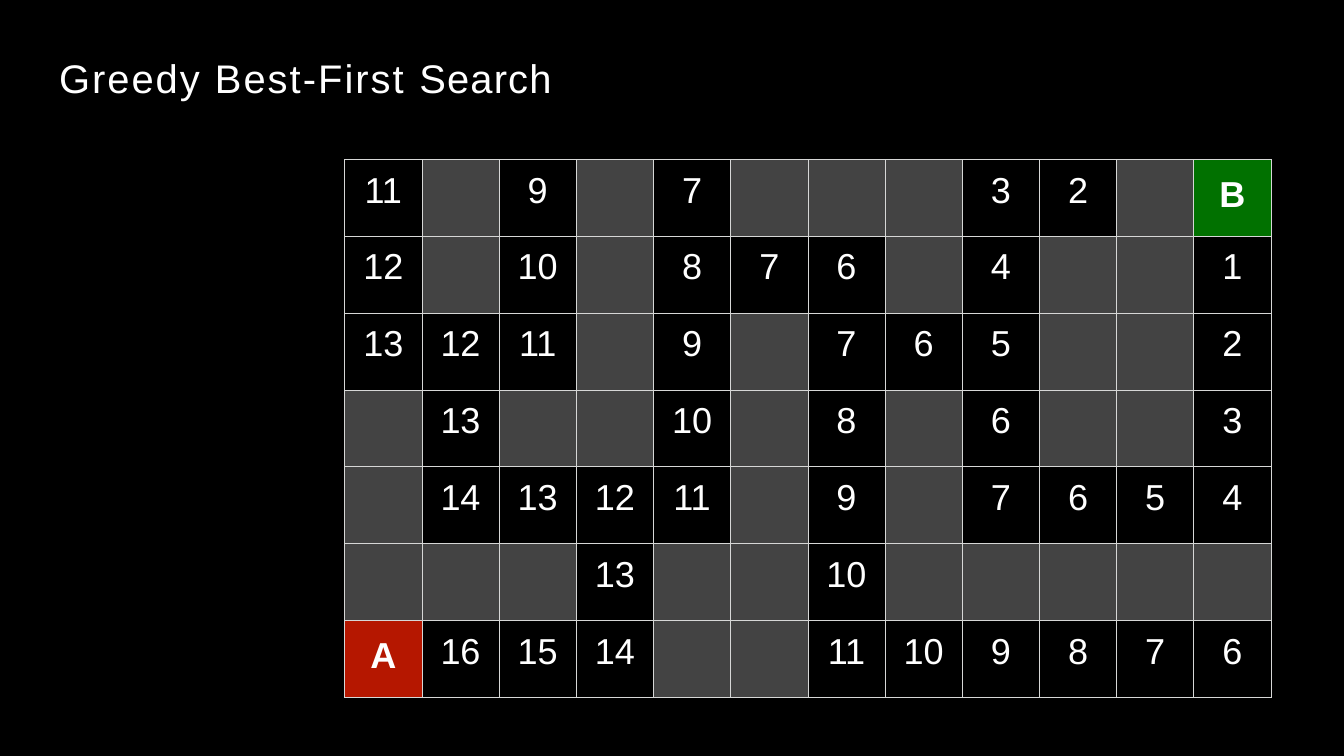
"""Build the Greedy Best-First Search maze slide with its distance grid."""
from lxml import etree
from pptx import Presentation
from pptx import util as u
from pptx.dml.color import RGBColor
from pptx.enum import text
from pptx.oxml import ns

BLACK = RGBColor(0x00, 0x00, 0x00)
WHITE = RGBColor(0xFF, 0xFF, 0xFF)
WALL = RGBColor(0x43, 0x43, 0x43)
START = RGBColor(0xB5, 0x17, 0x00)
GOAL = RGBColor(0x01, 0x71, 0x00)
GRID_LINE = RGBColor(0xD6, 0xD7, 0xD6)

MAZE = [
    "11 #  9  #  7  #  #  #  3  2  #  B",
    "12 #  10 #  8  7  6  #  4  #  #  1",
    "13 12 11 #  9  #  7  6  5  #  #  2",
    "#  13 #  #  10 #  8  #  6  #  #  3",
    "#  14 13 12 11 #  9  #  7  6  5  4",
    "#  #  #  13 #  #  10 #  #  #  #  #",
    "A  16 15 14 #  #  11 10 9  8  7  6",
]
FILLS = {"#": WALL, "A": START, "B": GOAL}
TITLE_RUNS = [("Greedy ", 2.3), ("Best-First ", 2.4), ("Search", 1.4)]


def add_run(paragraph, words, spacing=0, **font_format):
    run = paragraph.add_run()
    run.text = words
    run.font.color.rgb = WHITE
    for name, value in {"name": "Arial", **font_format}.items():
        setattr(run.font, name, value)
    if spacing:
        run.font._element.set("spc", str(round(spacing * 100)))


def add_borders(cell):
    properties = cell._tc.get_or_add_tcPr()
    for side in ("a:lnL", "a:lnR", "a:lnT", "a:lnB"):
        line = etree.SubElement(properties, ns.qn(side), w=str(u.Pt(1)))
        fill = etree.SubElement(line, ns.qn("a:solidFill"))
        etree.SubElement(fill, ns.qn("a:srgbClr"), val=str(GRID_LINE))


presentation = Presentation()
presentation.slide_width = u.Inches(21.99)
presentation.slide_height = u.Inches(12.37)
slide = presentation.slides.add_slide(presentation.slide_layouts[6])
slide.background.fill.solid()
slide.background.fill.fore_color.rgb = BLACK

title = slide.shapes.add_textbox(u.Inches(0.96), u.Inches(0.86), u.Inches(8.07), u.Inches(0.81))
title_format = {"word_wrap": True, "margin_left": u.Inches(0.01), "margin_top": u.Inches(0.01),
                "margin_right": 0, "margin_bottom": 0}
for name, value in title_format.items():
    setattr(title.text_frame, name, value)
for words, spacing in TITLE_RUNS:
    add_run(title.text_frame.paragraphs[0], words, spacing, size=u.Pt(47))

rows = [row.split() for row in MAZE]
table = slide.shapes.add_table(len(rows), len(rows[0]), u.Inches(5.64), u.Inches(2.61),
                               u.Inches(15.16), u.Inches(8.8)).table
table.first_row = table.horz_banding = False

for row_index, row in enumerate(rows):
    for column_index, label in enumerate(row):
        cell = table.cell(row_index, column_index)
        add_borders(cell)
        cell.fill.solid()
        cell.fill.fore_color.rgb = FILLS.get(label, BLACK)
        if label == "#":
            continue
        endpoint = label in "AB"
        cell_format = {"margin_left": 0, "margin_right": 0, "margin_bottom": 0,
                       "margin_top": u.Inches(0.26 if endpoint else 0.18)}
        for name, value in cell_format.items():
            setattr(cell, name, value)
        paragraph = cell.text_frame.paragraphs[0]
        paragraph.alignment = text.PP_ALIGN.CENTER
        add_run(paragraph, label, -0.1 if len(label) == 2 else 0, size=u.Pt(42.5), bold=endpoint)

presentation.save("out.pptx")
